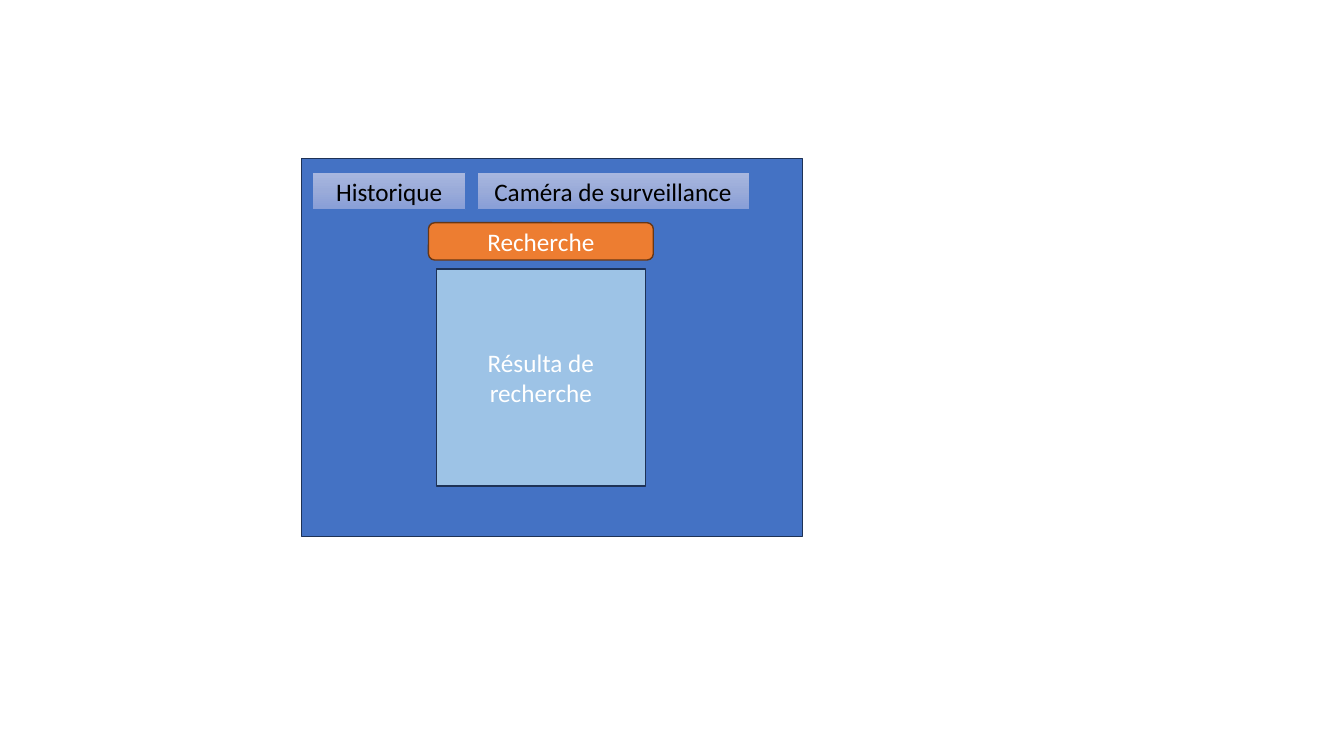
from copy import deepcopy

from pptx import Presentation
from pptx.dml.color import RGBColor
from pptx.enum.shapes import MSO_SHAPE as SHAPE
from pptx.enum.text import MSO_ANCHOR as ANCHOR, PP_ALIGN as ALIGN
from pptx.oxml.ns import qn
from pptx.util import Pt

PX = 9144  # 100 px to the inch
NAVY, BLUE, WHITE, BLACK = "1E3256", "4472C4", "FFFFFF", "000000"
TAB_STOPS = ["A8B7DF", "9AABD9", "889ED7"]


def rgb(value):
    return RGBColor.from_string(value)


def add_box(text, x, y, w, h, fill, line, line_width=1, color=WHITE, kind=SHAPE.RECTANGLE):
    """Add a shape with centred text; a list as fill gives a three-stop gradient, top to bottom."""
    sp = s.shapes.add_shape(kind, *(v * PX for v in (x, y, w, h)))
    sp.shadow.inherit = False
    if isinstance(fill, list):
        sp.fill.gradient()
        sp.fill.gradient_angle = 270
        stops = next(sp._element.iter(qn("a:gsLst")))
        stops.insert(1, deepcopy(stops[0]))
        for i, (stop, value) in enumerate(zip(sp.fill.gradient_stops, fill)):
            stop.position = i / 2
            stop.color.rgb = rgb(value)
    else:
        sp.fill.solid()
        sp.fill.fore_color.rgb = rgb(fill)
    sp.line.color.rgb = rgb(line)
    sp.line.width = Pt(line_width)
    if text:
        tf = sp.text_frame
        tf.word_wrap = True
        tf.vertical_anchor = ANCHOR.MIDDLE
        p = tf.paragraphs[0]
        p.alignment = ALIGN.CENTER
        r = p.add_run()
        r.text = text
        r.font.name = "Calibri"
        r.font.size = Pt(18)
        r.font.color.rgb = rgb(color)


prs = Presentation()
prs.slide_width, prs.slide_height = 1333 * PX, 750 * PX
s = prs.slides.add_slide(prs.slide_layouts[6])

# Window
add_box("", 299, 157, 497, 375, BLUE, NAVY)

# Tabs
for label, x, w in [("Caméra de surveillance", 473, 270), ("Historique", 310, 152)]:
    add_box(label, x, 171, w, 37, TAB_STOPS, BLUE, line_width=0.5, color=BLACK)

# Search button and result panel
add_box("Recherche", 425, 221, 223, 37, "ED7D31", "683715", kind=SHAPE.ROUNDED_RECTANGLE)
add_box("Résulta de recherche", 433, 267, 207, 215, "9DC3E6", NAVY)

prs.save("out.pptx")
